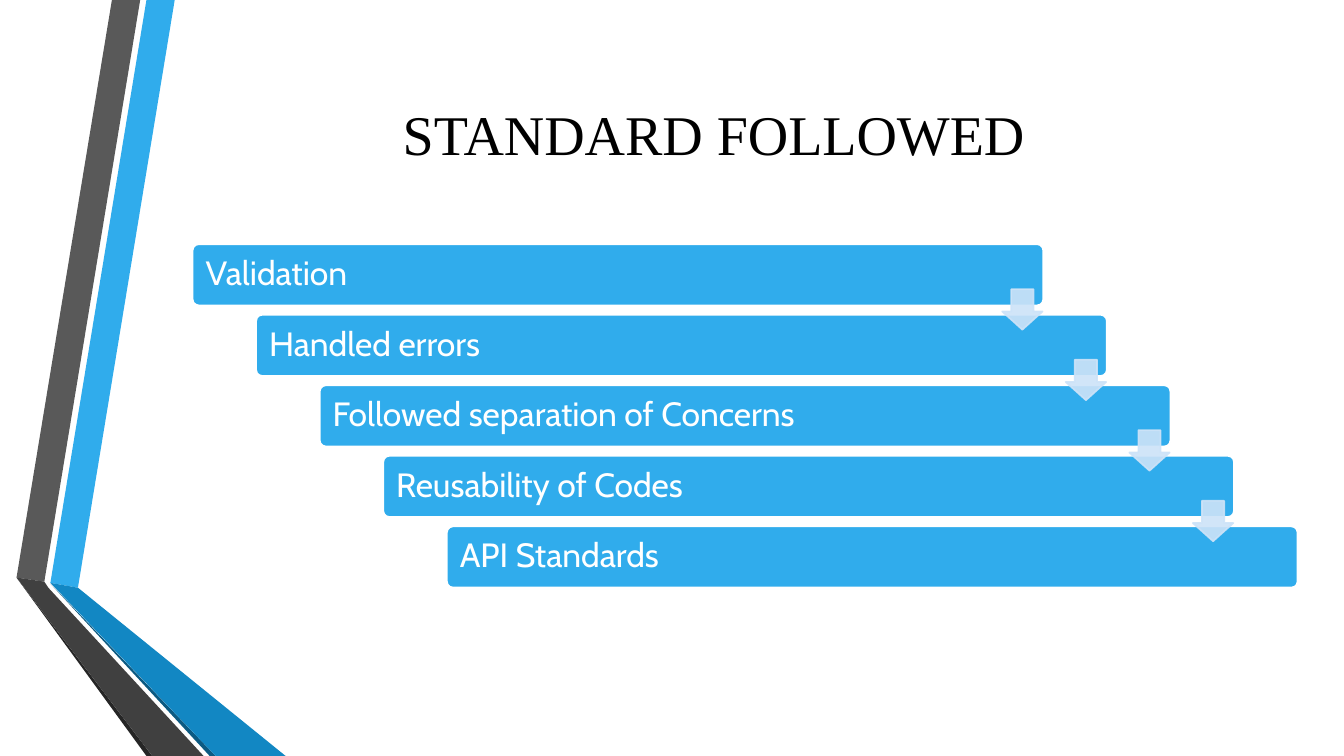
"""Build a slide listing the standards followed as a staircase of bars."""
from dataclasses import dataclass

from lxml.etree import SubElement
from pptx import Presentation
from pptx.dml.color import RGBColor
from pptx.enum.shapes import MSO_SHAPE
from pptx.enum.text import MSO_ANCHOR, PP_ALIGN
from pptx.oxml.ns import qn
from pptx.shapes.autoshape import Shape
from pptx.slide import Slide
from pptx.util import Inches, Pt

WIDE, HIGH = Inches(13.33), Inches(7.5)


@dataclass(frozen=True)
class Theme:
    """Hold the colours, fonts and type sizes."""
    blue: str = "30ACEC"
    deep: str = "1287C3"
    navy: str = "0C5A82"
    gray: str = "595959"
    dark: str = "404040"
    coal: str = "262626"
    pale: str = "CDE3F8"
    white: str = "FFFFFF"
    black: str = "000000"
    serif: str = "Times New Roman"
    sans: str = "Cabin"
    head: int = 40
    body: int = 24
    edge: float = 1.25


@dataclass(frozen=True)
class Box:
    """Give a place in percent of the slide's width and height."""
    left: float
    top: float
    width: float
    height: float

    def shift(self, step: int) -> "Box":
        """Move the box down the stairs by some steps."""
        return Box(self.left + step * STEP_X, self.top + step * STEP_Y,
                   self.width, self.height)

    def emu(self) -> tuple[int, int, int, int]:
        """Turn the shares into slide units."""
        return (across(self.left), down(self.top),
                across(self.width), down(self.height))


@dataclass(frozen=True)
class Ribbon:
    """Describe one folded strip by colour and corners in percent."""
    color: str
    points: tuple[tuple[float, float], ...]


THEME = Theme()
STEP_X, STEP_Y = 4.73, 9.33
TITLE = Box(12, 4.8, 82.2, 25.6)
BAR = Box(14.33, 32.3, 63.3, 8.1)
ARROW = Box(74.57, 38.25, 3, 5.35)
INSET = 0.83
LABELS = ("Validation", "Handled errors", "Followed separation of Concerns",
          "Reusability of Codes", "API Standards")
RIBBONS = (
    Ribbon(THEME.blue, ((3.75, 77.1), (5.8, 77.75), (13, 0), (10.9, 0))),
    Ribbon(THEME.gray, ((10.43, 0), (8.33, 0), (1.23, 76.4), (3.3, 76.95))),
    Ribbon(THEME.coal, ((1.23, 76.4), (10.9, 100), (11.33, 100))),
    Ribbon(THEME.navy, ((3.75, 77.2), (15.6, 100), (16.05, 100))),
    Ribbon(THEME.deep, ((3.75, 77.1), (16.05, 100), (21.25, 100),
                        (5.8, 77.75))),
    Ribbon(THEME.dark, ((15.15, 100), (3.6, 77.75), (3.3, 76.95),
                        (1.23, 76.4), (11.33, 100))),
)


def across(share: float) -> int:
    """Turn a percent of the width into slide units."""
    return round(WIDE * share / 100)


def down(share: float) -> int:
    """Turn a percent of the height into slide units."""
    return round(HIGH * share / 100)


def paint(shape: Shape, fill: str, line: str | None = None) -> None:
    """Set a flat fill and an optional outline."""
    shape.shadow.inherit = False
    shape.fill.solid()
    shape.fill.fore_color.rgb = RGBColor.from_string(fill)
    if line is None:
        shape.line.fill.background()
    else:
        shape.line.color.rgb = RGBColor.from_string(line)
        shape.line.width = Pt(THEME.edge)


def write(shape: Shape, text: str, font: str, size: int, color: str,
          align: PP_ALIGN) -> None:
    """Fill a shape with one line of text, centred in height."""
    frame = shape.text_frame
    frame.word_wrap = True
    frame.vertical_anchor = MSO_ANCHOR.MIDDLE
    line = frame.paragraphs[0]
    line.text = text
    line.alignment = align
    line.font.name = font
    line.font.size = Pt(size)
    line.font.color.rgb = RGBColor.from_string(color)


def add_ribbon(slide: Slide, ribbon: Ribbon) -> None:
    """Draw one folded strip."""
    first, *rest = [(across(x), down(y)) for x, y in ribbon.points]
    pen = slide.shapes.build_freeform(*first)
    pen.add_line_segments(rest, close=True)
    paint(pen.convert_to_shape(), ribbon.color)


def add_bar(slide: Slide, step: int, label: str) -> None:
    """Draw one stair with its label."""
    bar = slide.shapes.add_shape(MSO_SHAPE.ROUNDED_RECTANGLE,
                                 *BAR.shift(step).emu())
    bar.adjustments[0] = 0.1
    paint(bar, THEME.blue, THEME.white)
    write(bar, label, THEME.sans, THEME.body, THEME.white, PP_ALIGN.LEFT)
    bar.text_frame.margin_left = across(INSET)
    bar.text_frame.paragraphs[0].line_spacing = 0.9


def add_arrow(slide: Slide, step: int) -> None:
    """Draw one see-through arrow between two stairs."""
    arrow = slide.shapes.add_shape(MSO_SHAPE.DOWN_ARROW,
                                   *ARROW.shift(step).emu())
    arrow.adjustments[0] = 0.55
    arrow.adjustments[1] = 0.45
    paint(arrow, THEME.pale, THEME.pale)
    for color in arrow.element.spPr.iter(qn("a:srgbClr")):
        SubElement(color, qn("a:alpha"), val="90000")


def main() -> None:
    """Build and save the slide."""
    deck = Presentation()
    deck.slide_width, deck.slide_height = WIDE, HIGH
    slide = deck.slides.add_slide(deck.slide_layouts[6])
    for ribbon in RIBBONS:
        add_ribbon(slide, ribbon)
    title = slide.shapes.add_textbox(*TITLE.emu())
    write(title, "STANDARD FOLLOWED", THEME.serif, THEME.head, THEME.black,
          PP_ALIGN.CENTER)
    for step, label in enumerate(LABELS):
        add_bar(slide, step, label)
    for step in range(len(LABELS) - 1):
        add_arrow(slide, step)
    deck.save("out.pptx")


if __name__ == "__main__":
    main()
